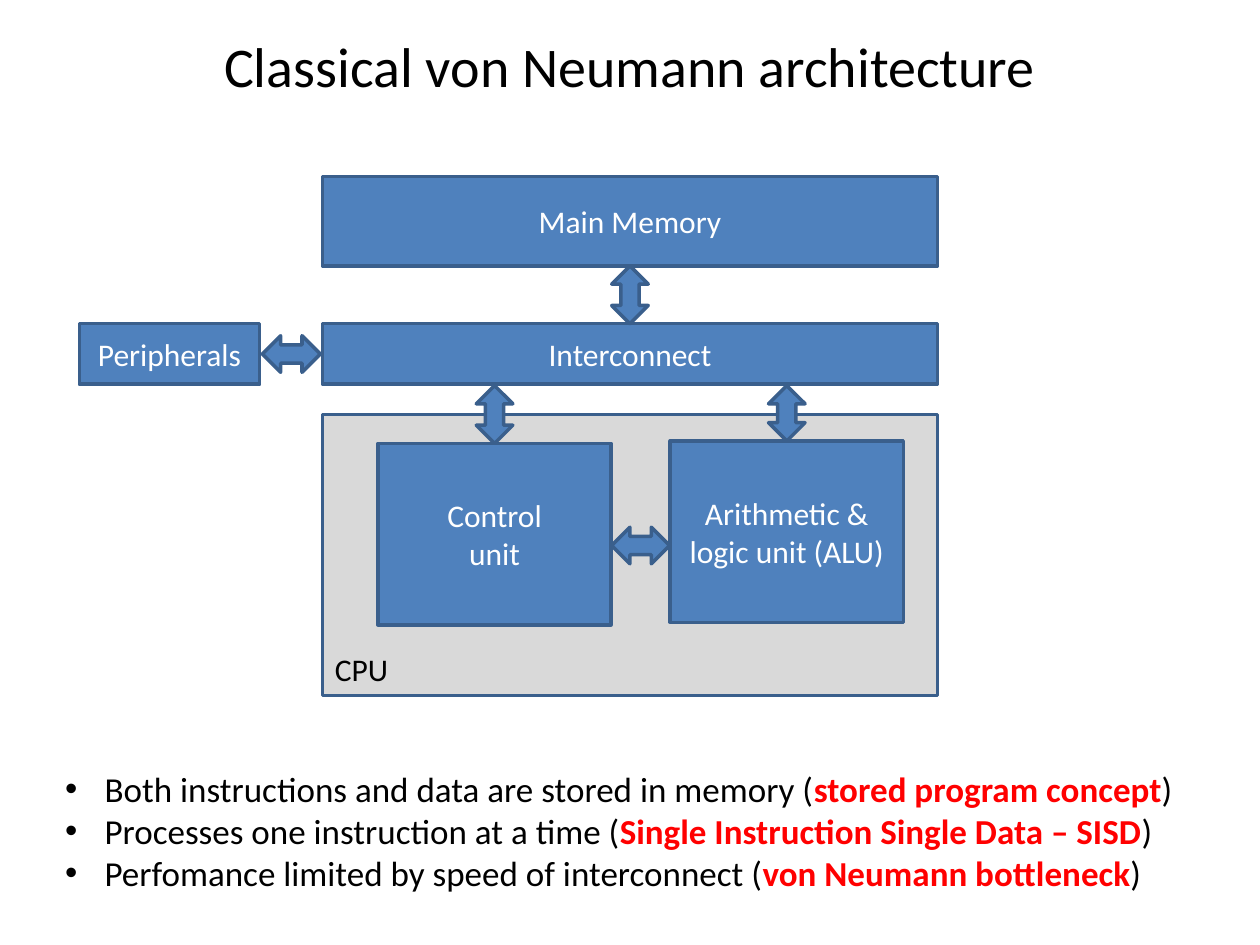
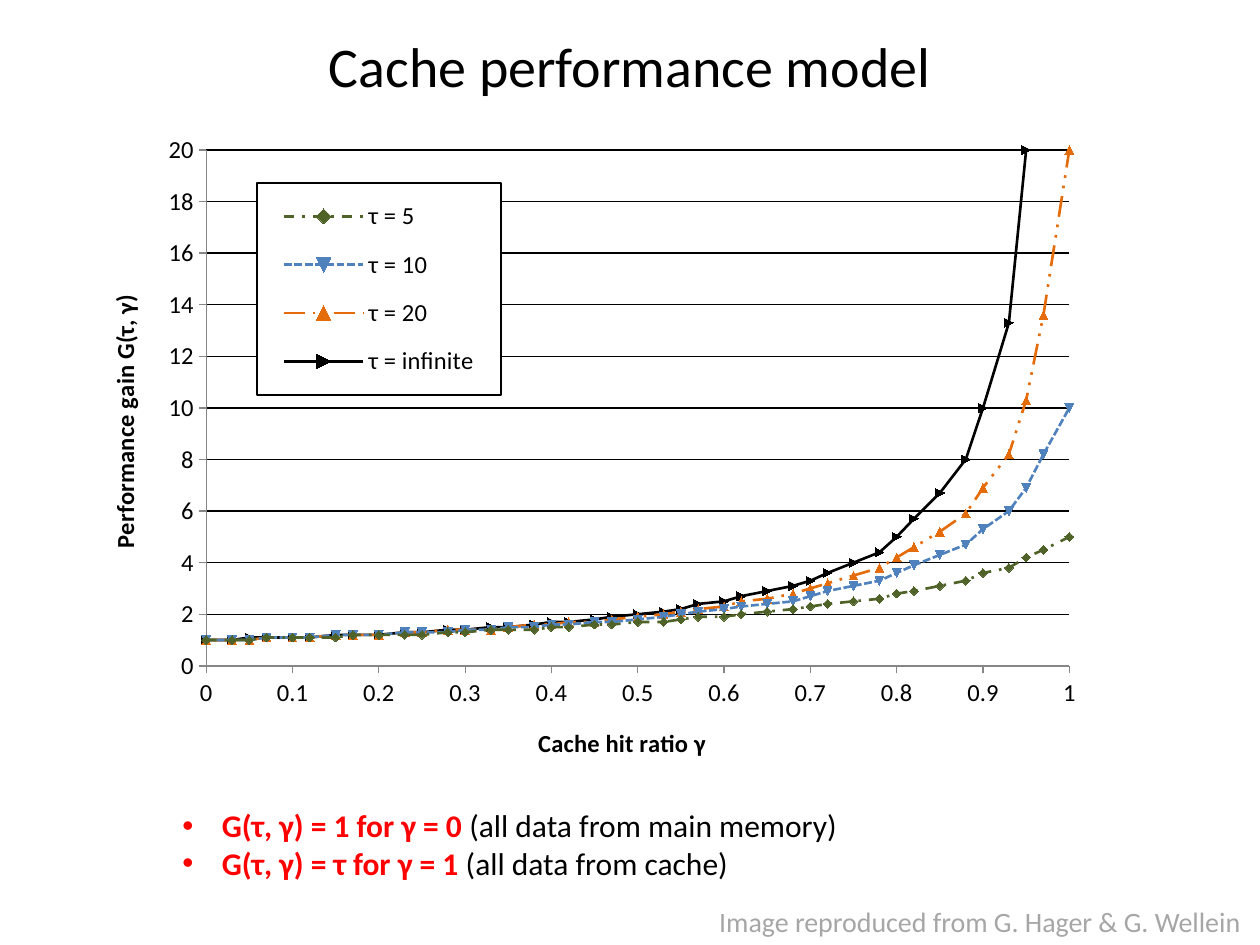
from dataclasses import dataclass

from lxml import etree
from pptx import Presentation
from pptx.chart.data import XyChartData
from pptx.dml.color import RGBColor
from pptx.enum.chart import XL_CHART_TYPE, XL_LEGEND_POSITION, XL_TICK_MARK
from pptx.enum.dml import MSO_LINE
from pptx.enum.shapes import MSO_SHAPE
from pptx.enum.text import MSO_ANCHOR, MSO_AUTO_SIZE, PP_ALIGN
from pptx.oxml import parse_xml
from pptx.oxml.ns import nsdecls, qn
from pptx.util import Pt

RECT = MSO_SHAPE.RECTANGLE
ARROW = MSO_SHAPE.UP_DOWN_ARROW
LEFT, CENTER = PP_ALIGN.LEFT, PP_ALIGN.CENTER
TOP, MIDDLE = MSO_ANCHOR.TOP, MSO_ANCHOR.MIDDLE
FIT = MSO_AUTO_SIZE.SHAPE_TO_FIT_TEXT
SCATTER = XL_CHART_TYPE.XY_SCATTER_LINES
SIDE = XL_LEGEND_POSITION.LEFT
OUT, NONE = XL_TICK_MARK.OUTSIDE, XL_TICK_MARK.NONE
DASH_DOT, SHORT_DASH = MSO_LINE.DASH_DOT, MSO_LINE.SQUARE_DOT
LONG_DOTS = MSO_LINE.DASH_DOT_DOT


@dataclass
class Theme:
    font: str = "Calibri"
    black: str = "000000"
    white: str = "FFFFFF"
    red: str = "FF0000"
    blue: str = "4F81BD"
    edge: str = "3A5F8C"
    panel: str = "D9D9D9"
    gray: str = "A6A6A6"
    axis: str = "868686"
    green: str = "4F6228"
    orange: str = "E46C0A"
    title: int = 32
    large: int = 20
    body: int = 18
    note: int = 16
    chart: int = 14
    indent: float = 22.5


def rgb(code):
    return RGBColor.from_string(code)


def style(font, theme, size, color, bold=False):
    font.name, font.size, font.bold = theme.font, Pt(size), bold
    font.color.rgb = rgb(color)


def write(frame, text, theme, size, color, align=LEFT, anchor=TOP, bullet=False):
    frame.vertical_anchor = anchor
    for row, line in enumerate(text.split("\n")):
        par = frame.add_paragraph() if row else frame.paragraphs[0]
        par.alignment = align
        if bullet:
            props = par._p.get_or_add_pPr()
            props.set("marL", str(Pt(theme.indent)))
            props.set("indent", str(-Pt(theme.indent)))
            etree.SubElement(props, qn("a:buFont")).set("typeface", "Arial")
            etree.SubElement(props, qn("a:buChar")).set("char", "•")
        for part, words in enumerate(line.split("*")):
            if words:
                run = par.add_run()
                run.text = words
                hot = part % 2 == 1
                style(run.font, theme, size, theme.red if hot else color, hot)


def place(node, index, x, y, w, h, inner=False):
    for old in node.findall(qn("c:layout")):
        node.remove(old)
    target = '<c:layoutTarget val="inner"/>' if inner else ""
    modes = "".join(f'<c:{key}Mode val="edge"/>' for key in "xy")
    sizes = "".join(f'<c:{key} val="{val}"/>' for key, val in zip("xywh", (x, y, w, h)))
    node.insert(index, parse_xml(
        f'<c:layout {nsdecls("c")}><c:manualLayout>{target}{modes}{sizes}'
        "</c:manualLayout></c:layout>"))


class Deck:
    def __init__(self, theme):
        self.theme = theme
        self.file = Presentation()
        self.file.slide_width, self.file.slide_height = Pt(720), Pt(540)
        self.slide = None

    def start(self, title):
        self.slide = self.file.slides.add_slide(self.file.slide_layouts[6])
        self.text(title, 36, 12.2, 648, 50.4, wrap=True, size=self.theme.title,
                  align=CENTER, anchor=MIDDLE)

    def text(self, text, x, y, w, h, wrap=False, size=None, color=None, **form):
        frame = self.slide.shapes.add_textbox(Pt(x), Pt(y), Pt(w), Pt(h)).text_frame
        frame.word_wrap = wrap
        if not wrap:
            frame.auto_size = FIT
        write(frame, text, self.theme, size or self.theme.body,
              color or self.theme.black, **form)

    def shape(self, kind, x, y, w, h, fill=None):
        shape = self.slide.shapes.add_shape(kind, Pt(x), Pt(y), Pt(w), Pt(h))
        shape.shadow.inherit = False
        shape.fill.solid()
        shape.fill.fore_color.rgb = rgb(fill or self.theme.blue)
        shape.line.color.rgb = rgb(self.theme.edge)
        shape.line.width = Pt(2)
        return shape

    def box(self, text, x, y, w, h):
        frame = self.shape(RECT, x, y, w, h).text_frame
        frame.word_wrap = True
        write(frame, text, self.theme, self.theme.body, self.theme.white,
              align=CENTER, anchor=MIDDLE)

    def arrow(self, x, y, size=33.1, turn=0):
        wide = 20.9
        shape = self.shape(ARROW, x - wide / 2, y - size / 2, wide, size)
        shape.rotation = turn

    def axis(self, axis, title, top, step, grid):
        theme = self.theme
        axis.minimum_scale, axis.maximum_scale, axis.major_unit = 0, top, step
        axis.major_tick_mark, axis.minor_tick_mark = OUT, NONE
        axis.has_major_gridlines = grid
        if grid:
            line = axis.major_gridlines.format.line
            line.color.rgb, line.width = rgb(theme.black), Pt(0.75)
        axis.format.line.color.rgb = rgb(theme.axis)
        axis.tick_labels.number_format = "General"
        axis.tick_labels.number_format_is_linked = False
        style(axis.tick_labels.font, theme, theme.chart, theme.black)
        frame = axis.axis_title.text_frame
        frame.text = title
        style(frame.paragraphs[0].runs[0].font, theme, theme.chart, theme.black, True)

    def legend(self, chart, *area):
        theme = self.theme
        chart.has_legend = True
        legend = chart.legend
        legend.position, legend.include_in_layout = SIDE, True
        style(legend.font, theme, theme.chart, theme.black)
        node = legend._element
        place(node, 1, *area)
        node.find(qn("c:overlay")).addnext(parse_xml(
            f'<c:spPr {nsdecls("c", "a")}>'
            f'<a:solidFill><a:srgbClr val="{theme.white}"/></a:solidFill>'
            f'<a:ln w="{Pt(1)}"><a:solidFill><a:srgbClr val="{theme.black}"/>'
            "</a:solidFill></a:ln></c:spPr>"))

    def curves(self, data, looks, x, y, w, h):
        theme = self.theme
        chart = self.slide.shapes.add_chart(
            SCATTER, Pt(x), Pt(y), Pt(w), Pt(h), data).chart
        style(chart.font, theme, theme.chart, theme.black)
        chart.has_title = False
        plot = chart.plots[0]
        plot.vary_by_categories = False
        for rank, (item, (color, dash)) in enumerate(zip(plot.series, looks), 1):
            item._element.find(qn("c:idx")).set("val", str(rank))
            item.smooth = False
            line, mark = item.format.line, item.marker
            line.color.rgb, line.width = rgb(color), Pt(1.5)
            if dash:
                line.dash_style = dash
            mark.size = 5
            mark.format.fill.solid()
            mark.format.fill.fore_color.rgb = rgb(color)
            mark.format.line.fill.background()
        return chart


def machine(deck):
    theme = deck.theme
    left, wide = 184.3, 351.4
    bus, base, rail = 185, 219.6, 34.6
    unit, tall = 133.2, 103.7
    control, logic = 216, 383
    deck.start("Classical von Neumann architecture")
    deck.shape(RECT, left, 236.9, wide, 160.6, theme.panel)
    deck.box("Main Memory", left, 100.8, wide, 51.1)
    deck.box("Interconnect", left, bus, wide, rail)
    deck.box("Peripherals", 45.4, bus, 103, rail)
    deck.text("CPU", left, 367.9, 45.4, 28.8)
    deck.box("Control\nunit", control, 253.4, unit, tall)
    deck.box("Arithmetic & logic unit (ALU)", logic, 252, unit, tall)
    deck.arrow(left + wide / 2, 168.5)
    deck.arrow(166.5, bus + rail / 2, turn=270)
    deck.arrow(control + unit / 2, 236.9)
    deck.arrow(logic + unit / 2, 236.2, 31.7)
    deck.arrow((control + unit + logic) / 2, 311.7, turn=270)
    deck.text(
        "Both instructions and data are stored in memory (*stored program concept*)\n"
        "Processes one instruction at a time (*Single Instruction Single Data – SISD*)\n"
        "Perfomance limited by speed of interconnect (*von Neumann bottleneck*)",
        30.2, 434.9, 666.7, 79.9, size=theme.large, bullet=True)


def cache(deck):
    theme = deck.theme
    deck.start("Cache performance model")
    data = XyChartData()
    steps = 40
    for tau in (5, 10, 20, None):
        series = data.add_series(f"τ = {tau or 'infinite'}")
        rest = 1 / tau if tau else 0
        for step in range(steps + 1 if tau else steps):
            ratio = step / steps
            gain = 1 / (1 - ratio + ratio * rest)
            series.add_data_point(round(ratio, 2), round(gain, 1))
    looks = ((theme.green, DASH_DOT), (theme.blue, SHORT_DASH),
             (theme.orange, LONG_DOTS), (theme.black, None))
    chart = deck.curves(data, looks, 48.2, 70.6, 580.3, 378)
    deck.axis(chart.category_axis, "Cache hit ratio γ", 1, 0.1, False)
    deck.axis(chart.value_axis, "Performance gain G(τ, γ)", 20, 2, True)
    deck.legend(chart, 0.17, 0.09, 0.24, 0.32)
    area = chart._chartSpace.chart.plotArea
    place(area, 0, 0.12, 0.04, 0.85, 0.78, inner=True)
    deck.text("*G(τ, γ) = 1 for γ = 0* (all data from main memory)\n"
              "*G(τ, γ) = τ for γ = 1* (all data from cache)",
              97.2, 457.2, 391, 51.1, bullet=True)
    deck.text("Image reproduced from G. Hager & G. Wellein", 403.9, 513.4, 316.1, 26.6,
              size=theme.note, color=theme.gray)


def main():
    deck = Deck(Theme())
    machine(deck)
    cache(deck)
    deck.file.save("out.pptx")


if __name__ == "__main__":
    main()
